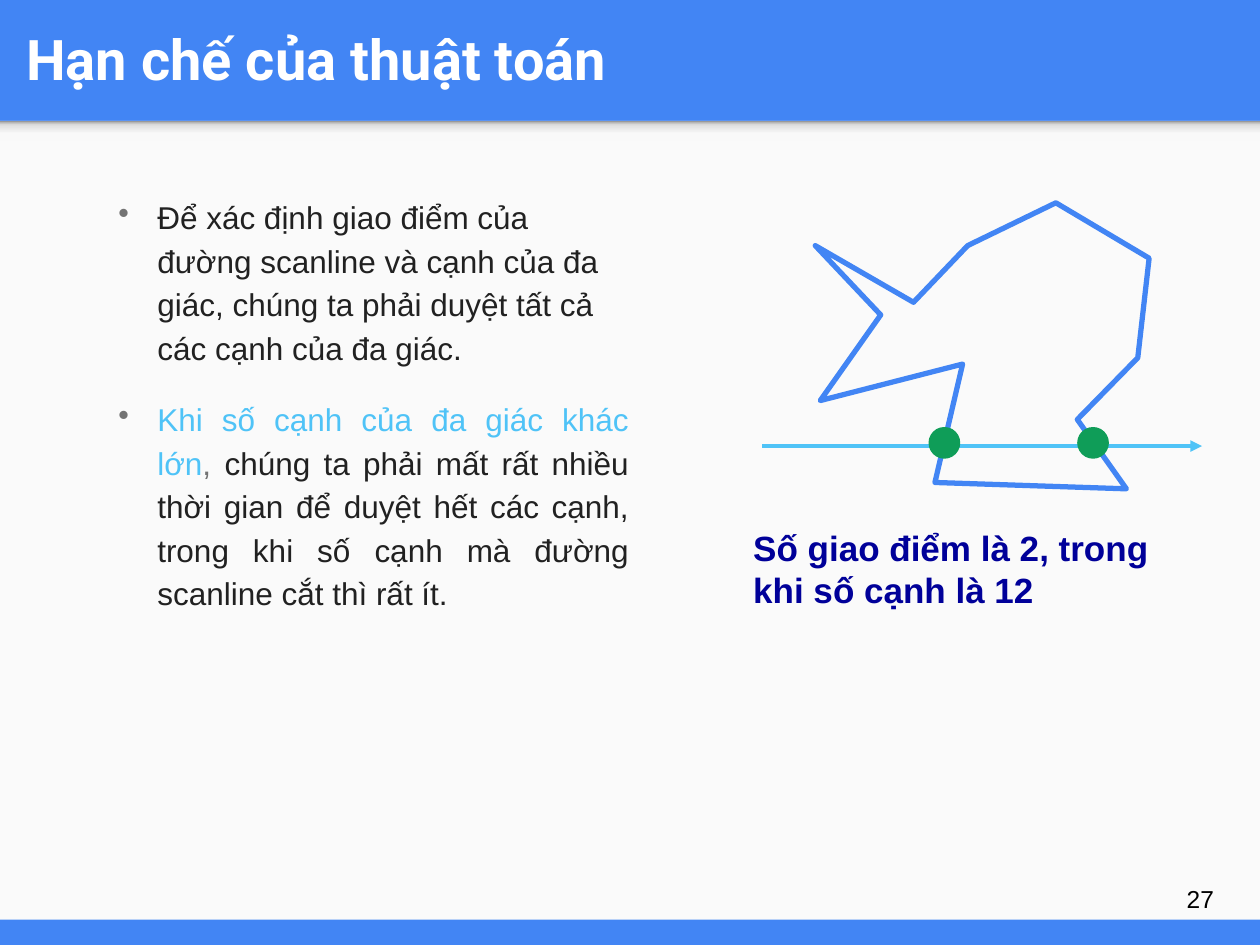
from lxml import etree
from pptx import Presentation, util as u
from pptx.dml.color import RGBColor
from pptx.enum import shapes, text
from pptx.oxml import ns

COLORS = {
    "blue": "4285F4", "paper": "FAFAFA", "white": "FFFFFF", "black": "000000",
    "ink": "212121", "gray": "737373", "sky": "4FC3F7", "green": "0F9D58",
    "navy": "000099",
}
SHADE = [(0, "F9F9F9"), (36, "F9F9F9"), (80, "DEDEDE"), (100, "999999")]
COLS, ROWS = 100, 75


def add_xml(parent, tag, **attributes):
    return etree.SubElement(parent, ns.qn(tag), attributes)


def rgb(name):
    return RGBColor.from_string(COLORS[name])


class Deck:
    def __init__(self):
        self.prs = Presentation()
        self.prs.slide_width, self.prs.slide_height = u.Inches(10), u.Inches(7.5)
        self.font = "Arial"
        self.s = None

    def x(self, cols):
        return round(self.prs.slide_width * cols / COLS)

    def y(self, rows):
        return round(self.prs.slide_height * rows / ROWS)

    def box(self, left, top, width, height):
        return self.x(left), self.y(top), self.x(width), self.y(height)

    def add_slide(self, background):
        self.s = self.prs.slides.add_slide(self.prs.slide_layouts[6])
        fill = self.s.background.fill
        fill.solid()
        fill.fore_color.rgb = rgb(background)

    def stroke(self, line, color, width):
        line.color.rgb = rgb(color)
        line.width = u.Pt(width)

    def shape(self, kind, area, color, outline=0):
        sp = self.s.shapes.add_shape(kind, *self.box(*area))
        sp.shadow.inherit = False
        sp.fill.solid()
        sp.fill.fore_color.rgb = rgb(color)
        if outline:
            self.stroke(sp.line, color, outline)
        else:
            sp.line.fill.background()
        return sp

    def shade(self, area, stops):
        sp = self.shape(shapes.MSO_SHAPE.RECTANGLE, area, "paper")
        sp.fill.gradient()
        sp.fill.gradient_angle = 90
        stop_list = sp._element.spPr.find(".//" + ns.qn("a:gsLst"))
        for stop in list(stop_list):
            stop_list.remove(stop)
        for position, color in stops:
            gs = add_xml(stop_list, "a:gs", pos=str(position * 1000))
            add_xml(gs, "a:srgbClr", val=color)

    def text(self, area, paragraphs, size, bold=False, font=None, inset=0.1,
             middle=False, bullets=False):
        tf = self.s.shapes.add_textbox(*self.box(*area)).text_frame
        tf.word_wrap = True
        tf.margin_left = tf.margin_right = u.Inches(0.1)
        tf.margin_top = tf.margin_bottom = u.Inches(inset)
        if middle:
            tf.vertical_anchor = text.MSO_ANCHOR.MIDDLE
        for i, (align, runs) in enumerate(paragraphs):
            p = tf.add_paragraph() if i else tf.paragraphs[0]
            if bullets:
                self.bullet(p)
            p.alignment = align
            for content, color in runs:
                r = p.add_run()
                r.text = content
                r.font.name = font or self.font
                r.font.size = u.Pt(size)
                r.font.bold = bold
                r.font.color.rgb = rgb(color)

    def bullet(self, p):
        indent = u.Inches(0.31)
        pPr = p._p.get_or_add_pPr()
        pPr.set("marL", str(indent))
        pPr.set("indent", str(-indent))
        add_xml(add_xml(pPr, "a:buClr"), "a:srgbClr", val=COLORS["gray"])
        add_xml(pPr, "a:buChar", char="•")
        p.line_spacing = 1.15
        p.space_after = u.Pt(16)

    def arrow(self, start, end, color, width):
        line = self.s.shapes.add_connector(
            shapes.MSO_CONNECTOR.STRAIGHT, self.x(start[0]), self.y(start[1]),
            self.x(end[0]), self.y(end[1]))
        self.stroke(line.line, color, width)
        add_xml(line.line._get_or_add_ln(), "a:tailEnd", type="triangle")
        add_xml(line._element.spPr, "a:effectLst")

    def polygon(self, points, color, width):
        corners = [(self.x(cx), self.y(cy)) for cx, cy in points]
        builder = self.s.shapes.build_freeform(*corners[0])
        builder.add_line_segments(corners[1:], close=True)
        sp = builder.convert_to_shape()
        sp.shadow.inherit = False
        sp.fill.background()
        self.stroke(sp.line, color, width)


def main():
    left, justify = text.PP_ALIGN.LEFT, text.PP_ALIGN.JUSTIFY
    deck = Deck()
    deck.add_slide("blue")
    deck.shape(shapes.MSO_SHAPE.RECTANGLE, (0, 9.6, 100, 63.4), "paper")
    deck.shade((0, 9.6, 100, 1.6), SHADE)
    deck.text((1.1, 0.2, 96.5, 8.8), [(left, [("Hạn chế của thuật toán", "white")])],
              32, bold=True, font="Roboto", middle=True)
    deck.text((93.2, 68.5, 6, 5.7), [(left, [("27", "black")])], 14, middle=True)
    deck.text((8.4, 14.3, 42.5, 54.2), [
        (left, [("Để xác định giao điểm của đường scanline và cạnh của đa giác, "
                 "chúng ta phải duyệt tất cả các cạnh của đa giác.", "ink")]),
        (justify, [("Khi số cạnh của đa giác khác lớn", "sky"), (", ", "gray"),
                   ("chúng ta phải mất rất nhiều thời gian để duyệt hết các cạnh, "
                    "trong khi số cạnh mà đường scanline cắt thì rất ít.", "ink")]),
    ], 18, bullets=True)

    deck.arrow((60.5, 35.4), (95.4, 35.4), "sky", 2.25)
    deck.polygon([
        (64.7, 19.5), (72.5, 24), (76.8, 19.5), (83.8, 16.1), (91.2, 20.5),
        (90.3, 28.4), (85.5, 33.3), (89.4, 38.8), (74.2, 38.3), (76.4, 28.9),
        (65.1, 31.8), (69.9, 25),
    ], "blue", 3)
    for crossing in (73.9, 85.7):
        deck.shape(shapes.MSO_SHAPE.OVAL, (crossing, 34.1, 2.1, 2.1), "green", outline=3)
    deck.text((58.8, 41.3, 33.6, 7.7),
              [(left, [("Số giao điểm là 2, trong khi số cạnh là 12", "navy")])],
              20, bold=True, inset=0.05)
    deck.prs.save("out.pptx")


if __name__ == "__main__":
    main()
